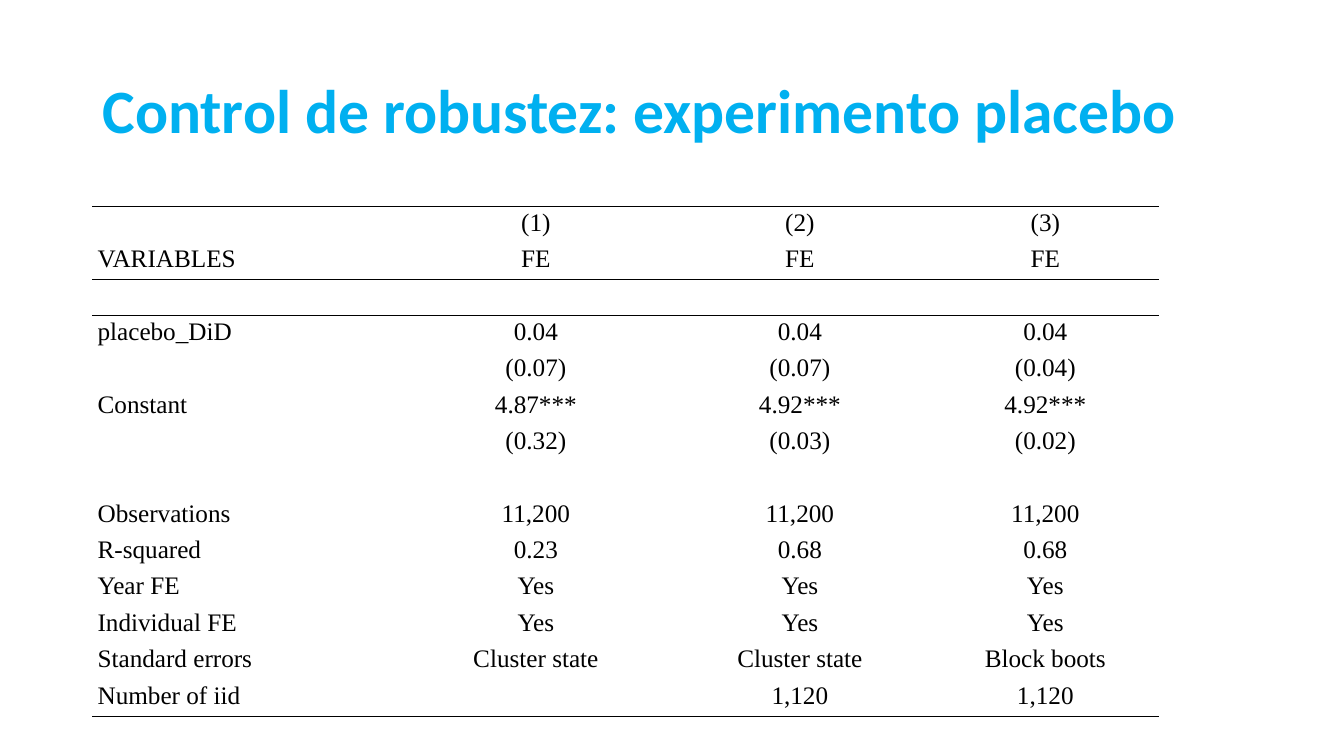
from pptx import Presentation
from pptx.dml.color import RGBColor
from pptx.enum.text import MSO_ANCHOR, PP_ALIGN
from pptx.oxml import parse_xml
from pptx.oxml.ns import nsdecls, qn
from pptx.util import Pt

BLACK = RGBColor(0x00, 0x00, 0x00)
SKY = RGBColor(0x00, 0xB0, 0xF0)
TITLE_FONT = {"name": "Calibri", "size": Pt(44), "bold": True}
CELL_FONT = {"name": "Times New Roman", "size": Pt(18), "bold": False}
CELL_MARGINS = {"margin_left": Pt(3.75), "margin_right": Pt(3.75),
                "margin_top": 0, "margin_bottom": 0}
NO_STYLE = "{2D5ABB26-0587-4C30-8999-92F81FD0307C}"

COL_WIDTHS = [222.5, 188.6, 188.6, 162]
ROW_HEIGHT = 26
ROWS = [
    ["", "(1)", "(2)", "(3)"],
    ["VARIABLES", "FE", "FE", "FE"],
    [""] * 4,
    ["placebo_DiD", "0.04", "0.04", "0.04"],
    ["", "(0.07)", "(0.07)", "(0.04)"],
    ["Constant", "4.87***", "4.92***", "4.92***"],
    ["", "(0.32)", "(0.03)", "(0.02)"],
    [""] * 4,
    ["Observations", "11,200", "11,200", "11,200"],
    ["R-squared", "0.23", "0.68", "0.68"],
    ["Year FE", "Yes", "Yes", "Yes"],
    ["Individual FE", "Yes", "Yes", "Yes"],
    ["Standard errors", "Cluster state", "Cluster state", "Block boots"],
    ["Number of iid", "", "1,120", "1,120"],
]
# Rules by row: above and below the header, and below the last row
RULES = {0: ["lnT"], 1: ["lnB"], 2: ["lnT"], len(ROWS) - 1: ["lnB"]}


def apply(obj, values):
    """Set each attribute of obj from a dict."""
    for name, value in values.items():
        setattr(obj, name, value)


def add_text(p, text, font, color):
    """Add a formatted run to a paragraph."""
    r = p.add_run()
    r.text = text
    apply(r.font, font)
    r.font.color.rgb = color


def add_rule(cell, side):
    """Draw a thin black line on one side of a cell."""
    ln = parse_xml(
        f'<a:{side} {nsdecls("a")} w="{Pt(1)}"><a:solidFill>'
        f'<a:srgbClr val="{BLACK}"/></a:solidFill></a:{side}>')
    cell._tc.get_or_add_tcPr().insert(0, ln)


def fill_cell(cell, text, align, sides):
    """Format a cell, write its text and draw its rules."""
    apply(cell, CELL_MARGINS)
    cell.fill.background()
    p = cell.text_frame.paragraphs[0]
    apply(p, {"alignment": align, "line_spacing": 1.07, "space_after": Pt(8)})
    if text:
        add_text(p, text, CELL_FONT, BLACK)
    else:
        p._p.get_or_add_endParaRPr().set("sz", "1800")
    for side in sides:
        add_rule(cell, side)


def add_title(slide, text):
    """Place and format the slide title."""
    sp = slide.shapes.title
    apply(sp, {"left": Pt(66), "top": Pt(28.75),
               "width": Pt(828), "height": Pt(104.4)})
    tf = sp.text_frame
    apply(tf, {"vertical_anchor": MSO_ANCHOR.MIDDLE, "word_wrap": True})
    p = tf.paragraphs[0]
    apply(p, {"alignment": PP_ALIGN.LEFT, "line_spacing": 0.9})
    add_text(p, text, TITLE_FONT, SKY)


def add_results(slide, left, top):
    """Add the regression results table."""
    frame = slide.shapes.add_table(
        len(ROWS), len(COL_WIDTHS), Pt(left), Pt(top),
        Pt(sum(COL_WIDTHS)), Pt(ROW_HEIGHT * len(ROWS)))
    table = frame.table
    apply(table, {"first_row": False, "horz_banding": False})
    table._tbl.tblPr.find(qn("a:tableStyleId")).text = NO_STYLE
    for column, width in zip(table.columns, COL_WIDTHS):
        column.width = Pt(width)
    for i, row in enumerate(ROWS):
        table.rows[i].height = Pt(ROW_HEIGHT)
        for j, text in enumerate(row):
            align = PP_ALIGN.CENTER if j else PP_ALIGN.LEFT
            fill_cell(table.cell(i, j), text, align, RULES.get(i, []))


def main():
    """Build and save the slide."""
    prs = Presentation()
    apply(prs, {"slide_width": Pt(960), "slide_height": Pt(540)})
    slide = prs.slides.add_slide(prs.slide_layouts[5])
    add_title(slide, "Control de robustez: experimento placebo")
    add_results(slide, 66, 147.6)
    prs.save("out.pptx")


main()
